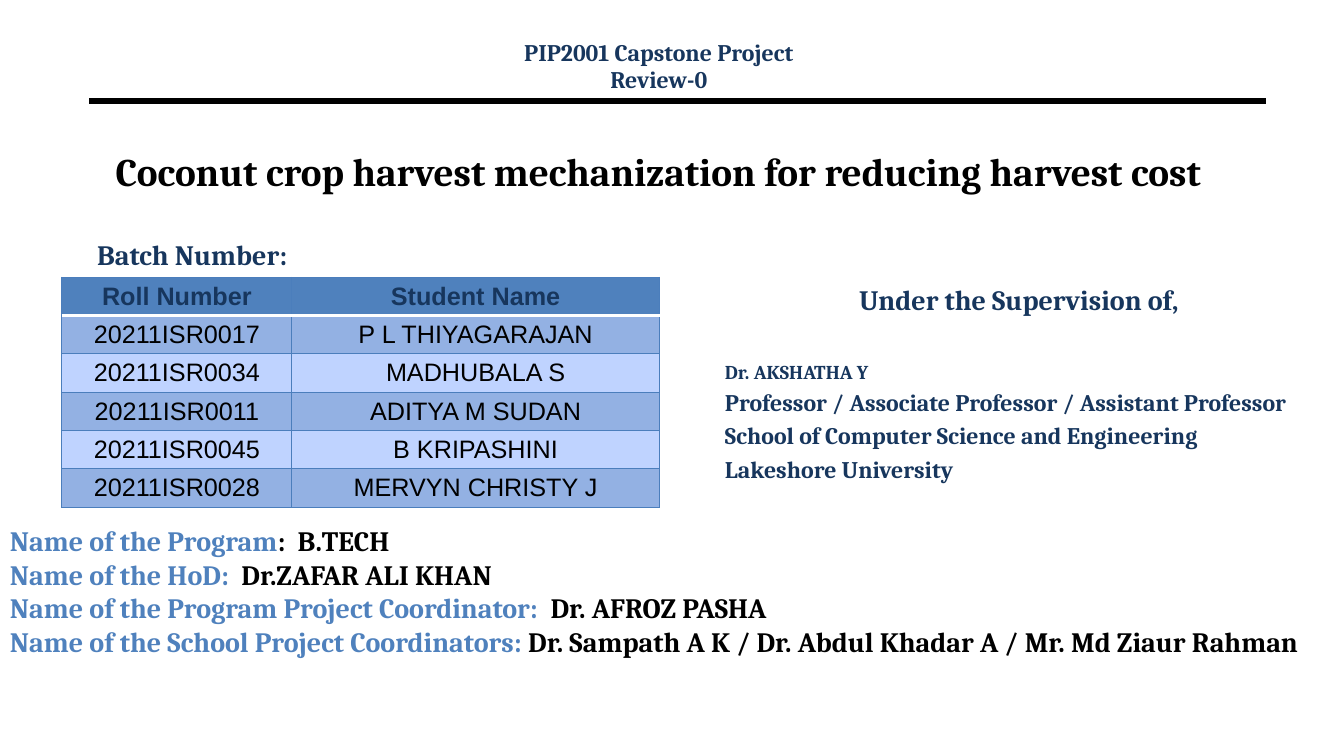
from lxml import etree
from pptx import Presentation
from pptx.dml.color import RGBColor
from pptx.enum.shapes import MSO_CONNECTOR
from pptx.enum.text import MSO_ANCHOR, MSO_AUTO_SIZE, PP_ALIGN
from pptx.oxml.ns import qn
from pptx.util import Emu, Pt

STRAIGHT = MSO_CONNECTOR.STRAIGHT
TOP, MIDDLE = MSO_ANCHOR.TOP, MSO_ANCHOR.MIDDLE
LEFT, CENTER = PP_ALIGN.LEFT, PP_ALIGN.CENTER
NO_FIT = MSO_AUTO_SIZE.NONE

EMU_PER_PX = 9525
SERIF, SANS = "Cambria", "Arial"
NAVY, BLUE, BLACK, WHITE = "17365D", "4F81BD", "000000", "FFFFFF"
GRID, DARK_BAND, LIGHT_BAND = "4B7EBC", "93B1E3", "BFD3FF"

STUDENTS = [
    ("Roll Number", "Student Name"),
    ("20211ISR0017", "P L THIYAGARAJAN"),
    ("20211ISR0034", "MADHUBALA S"),
    ("20211ISR0011", "ADITYA M SUDAN"),
    ("20211ISR0045", "B KRIPASHINI"),
    ("20211ISR0028", "MERVYN CHRISTY J"),
]
# Line of the supervisor block, size, space before
SUPERVISOR = [
    ("Dr. AKSHATHA Y", 14, 31.2),
    ("Professor / Associate Professor / Assistant Professor", 17, 3.4),
    ("School of Computer Science and Engineering", 17, 3.4),
    ("Lakeshore University", 17, 3.4),
]
# Label, separator colour included in the run it belongs to, and holder
PROGRAM_ROLES = [
    ("Name of the Program", ":  B.TECH"),
    ("Name of the HoD:  ", "Dr.ZAFAR ALI KHAN"),
    ("Name of the Program Project Coordinator:  ", "Dr. AFROZ PASHA"),
    ("Name of the School Project Coordinators: ",
     "Dr. Sampath A K / Dr. Abdul Khadar A / Mr. Md Ziaur Rahman"),
]


def px(length):
    return Emu(length * EMU_PER_PX)


def rgb(color):
    return RGBColor.from_string(color)


def add_run(paragraph, text, size, color, font=SERIF, bold=True):
    run = paragraph.add_run()
    run.text = text
    run.font.name = font
    run.font.size = Pt(size)
    run.font.bold = bold
    run.font.color.rgb = rgb(color)


def fill_frame(frame, paragraphs, anchor=TOP):
    """Each paragraph is (runs, alignment, space before, line spacing)."""
    frame.word_wrap = True
    frame.auto_size = NO_FIT
    frame.vertical_anchor = anchor
    for index, (runs, align, before, spacing) in enumerate(paragraphs):
        paragraph = frame.add_paragraph() if index else frame.paragraphs[0]
        paragraph.alignment = align
        paragraph.space_before = Pt(before)
        paragraph.line_spacing = spacing
        for run in runs:
            add_run(paragraph, *run)


def add_text(slide, left, top, width, height, paragraphs):
    box = slide.shapes.add_textbox(px(left), px(top), px(width), px(height))
    fill_frame(box.text_frame, paragraphs)


def set_title(slide, left, top, width, height, text):
    title = slide.shapes.title
    title.left, title.top = px(left), px(top)
    title.width, title.height = px(width), px(height)
    fill_frame(title.text_frame, [([(text, 28, BLACK)], CENTER, 0, 1.0)], MIDDLE)


def add_rule(slide, left, right, y, weight):
    rule = slide.shapes.add_connector(STRAIGHT, px(left), px(y), px(right), px(y))
    rule.line.color.rgb = rgb(BLACK)
    rule.line.width = Pt(weight)
    properties = rule._element.find(qn("p:spPr"))
    etree.SubElement(properties, qn("a:effectLst"))


def set_border(cell, side, color, weight):
    properties = cell._tc.get_or_add_tcPr()
    line = etree.SubElement(properties, qn(f"a:ln{side}"), w=str(Pt(weight)))
    fill = etree.SubElement(line, qn("a:solidFill"))
    etree.SubElement(fill, qn("a:srgbClr"), val=color)


def format_cell(cell, text, row):
    # Borders come before the fill; a white rule parts header and body
    for side in "LRTB":
        under_header = (row, side) in ((0, "B"), (1, "T"))
        color, weight = (WHITE, 2) if under_header else (GRID, 0.75)
        set_border(cell, side, color, weight)
    header = row == 0
    band = DARK_BAND if row % 2 else LIGHT_BAND
    cell.fill.solid()
    cell.fill.fore_color.rgb = rgb(BLUE if header else band)
    cell.vertical_anchor = MIDDLE
    paragraph = cell.text_frame.paragraphs[0]
    paragraph.alignment = CENTER
    add_run(paragraph, text, 18, NAVY if header else BLACK, SANS, header)


def add_student_table(slide, left, top, column_widths, row_height):
    frame = slide.shapes.add_table(
        len(STUDENTS), len(column_widths), px(left), px(top),
        px(sum(column_widths)), px(row_height * len(STUDENTS)))
    table = frame.table
    for column, width in zip(table.columns, column_widths):
        column.width = px(width)
    for row, student in enumerate(STUDENTS):
        table.rows[row].height = px(row_height)
        for column, text in enumerate(student):
            format_cell(table.cell(row, column), text, row)


def main():
    deck = Presentation()
    deck.slide_width, deck.slide_height = px(1280), px(720)
    slide = deck.slides.add_slide(deck.slide_layouts[5])

    # Course heading and rule
    add_rule(slide, 85, 1206, 96, 4.5)
    add_text(slide, 419, 36, 417, 58, [
        ([("PIP2001 Capstone Project", 17, NAVY)], CENTER, 0, 0.8),
        ([("Review-0", 17, NAVY)], CENTER, 3.1, 0.8),
    ])

    # Project title
    set_title(slide, 83, 112, 1088, 101,
              "Coconut crop harvest mechanization for reducing harvest cost")

    # Student batch
    add_text(slide, 83, 221, 417, 58,
             [([("Batch Number:", 20, NAVY)], LEFT, 0, 1.0)])
    add_student_table(slide, 59, 264, (219, 350), 36)

    # Supervisor
    supervision = [([("Under the Supervision of,", 20, NAVY)], CENTER, 0, 1.0)]
    supervision += [([(text, size, NAVY)], LEFT, before, 1.0)
                    for text, size, before in SUPERVISOR]
    add_text(slide, 681, 264, 579, 212, supervision)

    # Program roles
    add_text(slide, 0, 494, 1280, 146, [
        ([(label, 20, BLUE), (holder, 20, BLACK)], LEFT, 0, 1.0)
        for label, holder in PROGRAM_ROLES
    ])

    deck.save("out.pptx")


if __name__ == "__main__":
    main()
